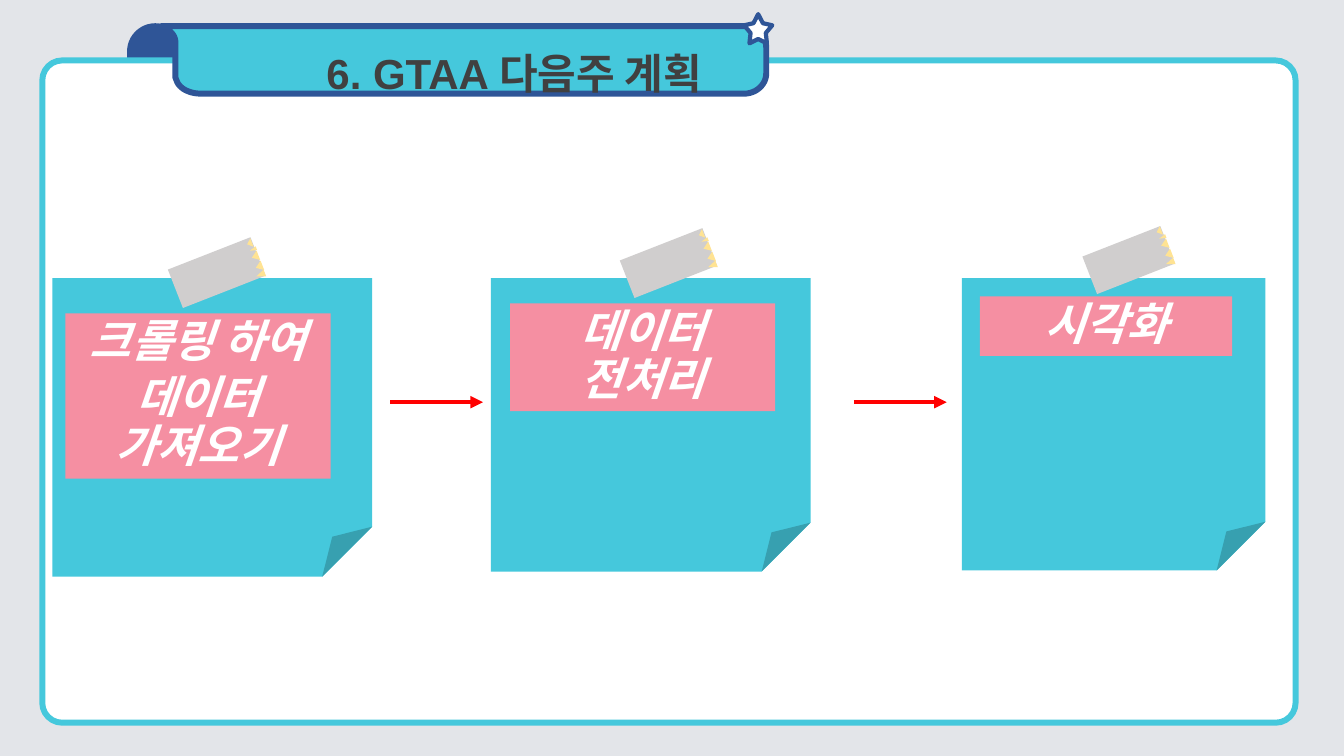
"""Build the slide that lays out next week's plan as three taped notes."""
from dataclasses import dataclass
from typing import Any

from lxml.etree import SubElement
from pptx import Presentation
from pptx.dml.color import RGBColor
from pptx.enum.shapes import MSO_CONNECTOR as Link, MSO_SHAPE as Geo
from pptx.enum.text import MSO_ANCHOR as Anchor, MSO_AUTO_SIZE as Fit, PP_ALIGN as Align
from pptx.oxml.ns import qn
from pptx.util import Inches, Pt

Box = tuple[float, float, float, float]
TEAL, NAVY, PINK, WHITE = "45C8DC", "2F5597", "F58FA2", "FFFFFF"
GREY, YELLOW, RED, DARK = "D0CECE", "FFE393", "FF0000", "404040"
TAPE_ANGLE = 338.6
TOOTH_ANGLE = TAPE_ANGLE + 90 - 360
KOREAN = "Noto Sans CJK KR"


@dataclass(frozen=True)
class Note:
    """A sticky note with its pink label and its strip of tape."""
    card: Box
    label: Box
    tape: Box
    lines: tuple[str, ...]


NOTES = (
    Note((0.52, 2.76, 3.17, 2.96), (0.65, 3.11, 2.63, 1.64), (1.71, 2.5, 0.88, 0.41),
         ("크롤링 하여", "데이터 가져오기")),
    Note((4.87, 2.76, 3.17, 2.91), (5.06, 3.01, 2.63, 1.07), (6.19, 2.41, 0.88, 0.4),
         ("데이터 전처리",)),
    Note((9.54, 2.76, 3.01, 2.9), (9.72, 2.94, 2.5, 0.59), (10.78, 2.38, 0.83, 0.4),
         ("시각화",)),
)
TEETH: tuple[Box, ...] = (
    (-0.16, -0.11, 0.09, 0.05), (-0.1, -0.06, 0.04, 0.07), (-0.11, 0.01, 0.1, 0.07),
    (-0.07, 0.11, 0.1, 0.07), (-0.04, 0.18, 0.07, 0.09),
)
ARROW_STARTS, ARROW_LENGTH, ARROW_Y = (3.87, 8.47), 0.92, 3.99
BANNER_BOX: Box = (1.6, 0.26, 6, 0.68)
BANNER_START = (1.6, 0.26)
BANNER_PATH: tuple[tuple[float, ...], ...] = (
    (7.38, 0.26), (7.5, 0.26, 7.6, 0.35, 7.6, 0.47),
    (7.6, 0.73), (7.6, 0.84, 7.5, 0.93, 7.38, 0.93),
    (2, 0.93), (1.89, 0.93, 1.8, 0.89, 1.76, 0.82),
    (1.74, 0.77), (1.74, 0.42), (1.74, 0.36, 1.7, 0.31, 1.64, 0.28), (1.6, 0.27),
)


def colour(value: str) -> RGBColor:
    """Turn a hex string into a colour."""
    return RGBColor.from_string(value)


def assign(target: Any, values: dict[str, Any]) -> None:
    """Set every named attribute on the target."""
    for name, value in values.items():
        setattr(target, name, value)


def paint(shape: Any, fill: str, line: str = "", width: float = 0) -> None:
    """Give a shape a flat fill and an optional outline."""
    shape.shadow.inherit = False
    shape.fill.solid()
    shape.fill.fore_color.rgb = colour(fill)
    if line:
        shape.line.color.rgb = colour(line)
        shape.line.width = Pt(width)
    else:
        shape.line.fill.background()


def add_block(shapes: Any, kind: Geo, box: Box, fill: str, line: str = "",
              width: float = 0, angle: float = 0) -> Any:
    """Add a painted preset shape."""
    block = shapes.add_shape(kind, *map(Inches, box))
    block.rotation = angle
    paint(block, fill, line, width)
    return block


def write(paragraph: Any, text: str, font: dict[str, Any], ink: str,
          layout: dict[str, Any]) -> None:
    """Write one formatted paragraph."""
    assign(paragraph, {"alignment": Align.CENTER, **layout})
    run = paragraph.add_run()
    run.text = text
    assign(run.font, font)
    run.font.color.rgb = colour(ink)
    SubElement(run.font._element, qn("a:ea")).set("typeface", KOREAN)


def trace(start: tuple[float, float], path: tuple[tuple[float, ...], ...],
          steps: int = 12) -> list[tuple[int, int]]:
    """Flatten lines and cubic curves into points."""
    points = [start]
    for part in path:
        if len(part) == 2:
            points.append(part)
            continue
        ends = (points[-1], part[:2], part[2:4], part[4:])
        for step in range(1, steps + 1):
            t = step / steps
            weights = ((1 - t) ** 3, 3 * t * (1 - t) ** 2, 3 * t * t * (1 - t), t ** 3)
            points.append(tuple(sum(w * end[axis] for w, end in zip(weights, ends))
                                for axis in (0, 1)))
    return [(Inches(x), Inches(y)) for x, y in points]


def add_banner(slide: Any) -> None:
    """Draw the ribbon and set the title upon it."""
    first, *rest = trace(BANNER_START, BANNER_PATH)
    builder = slide.shapes.build_freeform(*first)
    builder.add_line_segments(rest, close=True)
    ribbon = builder.convert_to_shape()
    paint(ribbon, TEAL, NAVY, 4.25)
    title = slide.shapes.title
    ribbon._element.addnext(title._element)
    assign(title, dict(zip(("left", "top", "width", "height"), map(Inches, BANNER_BOX))))
    assign(title.text_frame, {
        "word_wrap": True, "auto_size": Fit.NONE, "vertical_anchor": Anchor.MIDDLE,
        "margin_left": Inches(1.1), "margin_right": Inches(0.1),
        "margin_top": Inches(0.05), "margin_bottom": Inches(0.05)})
    write(title.text_frame.paragraphs[0], "6. GTAA 다음주 계획",
          {"size": Pt(30), "name": "Arial", "bold": True}, DARK,
          {"line_spacing": 1.5, "space_before": Pt(0)})


def add_note(shapes: Any, note: Note) -> None:
    """Draw a note with its label and tape."""
    add_block(shapes, Geo.FOLDED_CORNER, note.card, TEAL)
    frame = add_block(shapes, Geo.RECTANGLE, note.label, PINK).text_frame
    assign(frame, {"word_wrap": True, "vertical_anchor": Anchor.TOP,
                   "auto_size": Fit.SHAPE_TO_FIT_TEXT})
    for index, line in enumerate(note.lines):
        paragraph = frame.add_paragraph() if index else frame.paragraphs[0]
        write(paragraph, line,
              {"size": Pt(32), "name": KOREAN, "bold": True, "italic": True}, WHITE,
              {"line_spacing": 0.9, "space_after": Pt(6)})
    strip = shapes.add_group_shape().shapes
    add_block(strip, Geo.RECTANGLE, note.tape, GREY, angle=TAPE_ANGLE)
    left, top, width, _ = note.tape
    for dx, dy, *size in TEETH:
        add_block(strip, Geo.FLOWCHART_MERGE, (left + width + dx, top + dy, *size),
                  YELLOW, angle=TOOTH_ANGLE)


def add_arrow(shapes: Any, start: float) -> None:
    """Draw a red arrow to the next note."""
    arrow = shapes.add_connector(Link.STRAIGHT, Inches(start), Inches(ARROW_Y),
                                 Inches(start + ARROW_LENGTH), Inches(ARROW_Y))
    arrow.line.color.rgb = colour(RED)
    arrow.line.width = Pt(3)
    SubElement(arrow.line._get_or_add_ln(), qn("a:tailEnd")).set("type", "triangle")
    SubElement(arrow._element.spPr, qn("a:effectLst"))


def main() -> None:
    """Assemble and save the slide."""
    deck = Presentation()
    assign(deck, {"slide_width": Inches(13.33), "slide_height": Inches(7.5)})
    slide = deck.slides.add_slide(deck.slide_layouts[5])
    slide.background.fill.solid()
    slide.background.fill.fore_color.rgb = colour("E3E5E9")
    shapes = slide.shapes
    curl = add_block(shapes, Geo.ROUND_2_SAME_RECTANGLE, (1.29, 0.26, 0.5, 0.98),
                     NAVY, NAVY, 4.25)
    curl.adjustments[0] = 0.5
    board = add_block(shapes, Geo.ROUNDED_RECTANGLE, (0.42, 0.6, 12.43, 6.57),
                      WHITE, TEAL, 4.25)
    board.adjustments[0] = 0.03
    add_banner(slide)
    star = add_block(shapes, Geo.STAR_5_POINT, (7.38, 0.14, 0.28, 0.29), WHITE, NAVY, 3)
    star.adjustments[0] = 0.27
    for note in NOTES:
        add_note(shapes, note)
    for start in ARROW_STARTS:
        add_arrow(shapes, start)
    deck.save("out.pptx")


if __name__ == "__main__":
    main()
